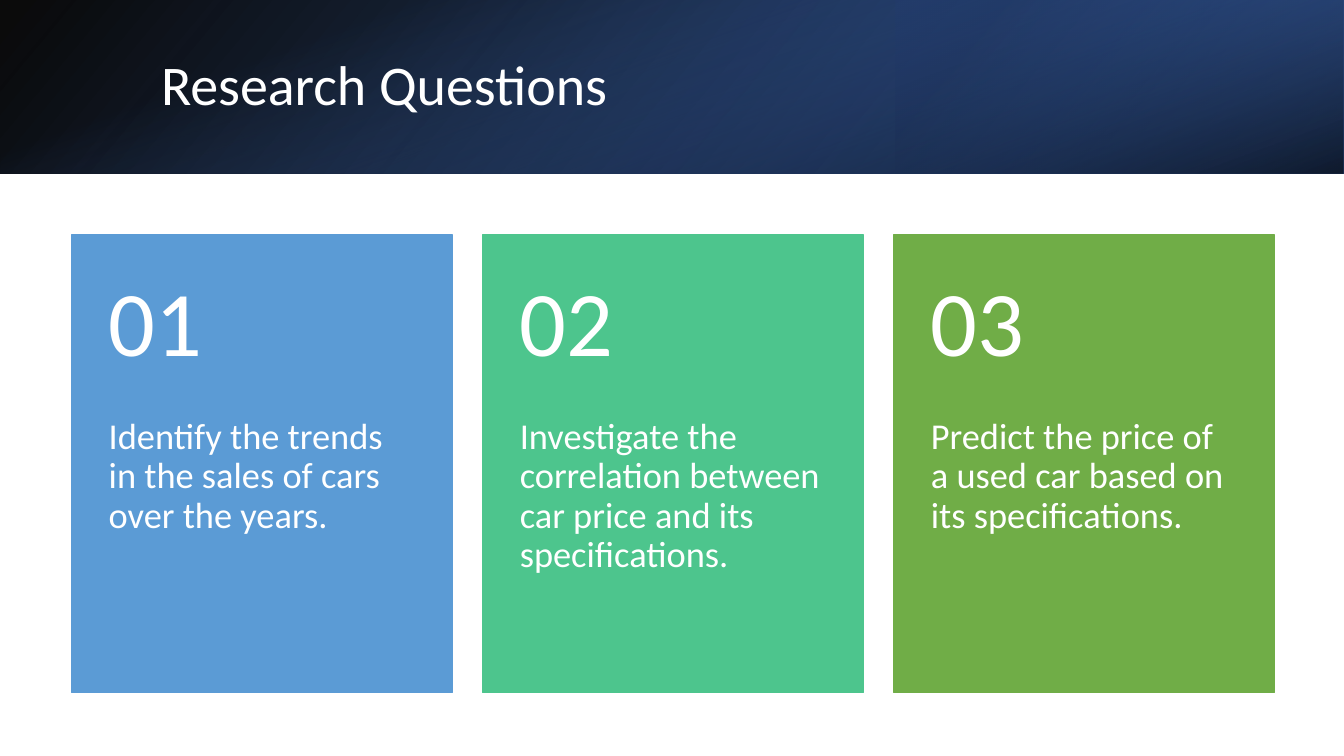
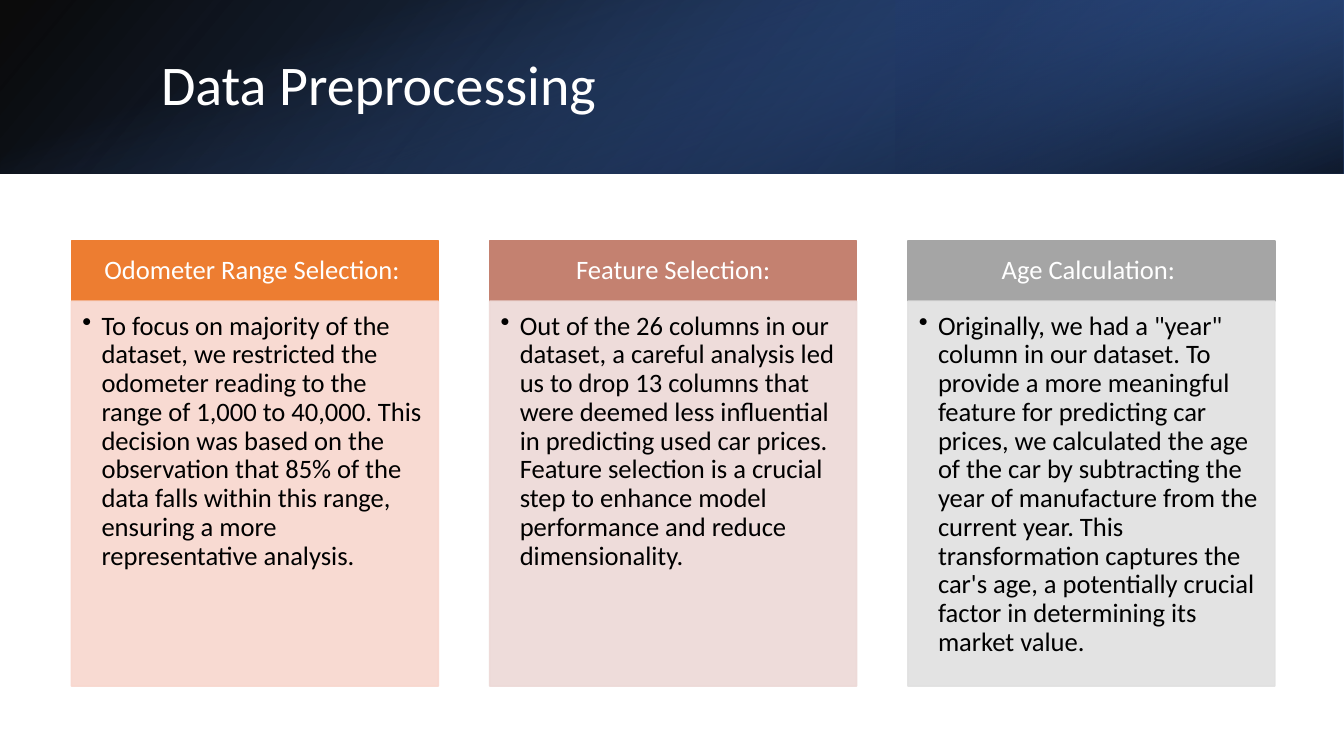
import lxml.etree
import pptx
import pptx.dml.color
import pptx.enum.shapes
import pptx.enum.text
import pptx.oxml.ns
import pptx.util

Cm = pptx.util.Cm
Pt = pptx.util.Pt
RGBColor = pptx.dml.color.RGBColor
Anchor = pptx.enum.text.MSO_ANCHOR
Align = pptx.enum.text.PP_ALIGN
qn = pptx.oxml.ns.qn

FONT = "Calibri"
WHITE = RGBColor(0xFF, 0xFF, 0xFF)
BLACK = RGBColor(0x00, 0x00, 0x00)
NAVY = RGBColor(0x20, 0x38, 0x64)
DEEP_BLUE = RGBColor(0x2F, 0x55, 0x97)
BLUE = RGBColor(0x44, 0x72, 0xC4)
SKY = RGBColor(0x5B, 0x9B, 0xD5)
MINT = RGBColor(0x4D, 0xC5, 0x8D)
GREEN = RGBColor(0x70, 0xAD, 0x47)
ORANGE = RGBColor(0xED, 0x7D, 0x31)
PALE_ORANGE = RGBColor(0xF8, 0xD7, 0xCE)
CLAY = RGBColor(0xC4, 0x81, 0x70)
PALE_CLAY = RGBColor(0xED, 0xD9, 0xD7)
GRAY = RGBColor(0xA5, 0xA5, 0xA5)
PALE_GRAY = RGBColor(0xE1, 0xE1, 0xE1)

SLIDE_WIDTH, SLIDE_HEIGHT = 33.87, 19.05
BAND_HEIGHT = 4.37
MARGIN = 1.8

QUESTIONS = [
    (SKY, "Identify the trends in the sales of cars over the years."),
    (MINT, "Investigate the correlation between car price and its specifications."),
    (GREEN, "Predict the price of a used car based on its specifications."),
]
STEPS = [
    (ORANGE, PALE_ORANGE, "Odometer Range Selection: ",
     "To focus on majority of the dataset, we restricted the odometer reading to the "
     "range of 1,000 to 40,000. This decision was based on the observation that 85% of "
     "the data falls within this range, ensuring a more representative analysis."),
    (CLAY, PALE_CLAY, "Feature Selection:",
     "Out of the 26 columns in our dataset, a careful analysis led us to drop 13 columns "
     "that were deemed less influential in predicting used car prices. Feature selection "
     "is a crucial step to enhance model performance and reduce dimensionality."),
    (GRAY, PALE_GRAY, "Age Calculation: ",
     "Originally, we had a \"year\" column in our dataset. To provide a more meaningful "
     "feature for predicting car prices, we calculated the age of the car by subtracting "
     "the year of manufacture from the current year. This transformation captures the "
     "car's age, a potentially crucial factor in determining its market value."),
]


def set_opacities(shape, percents):
    """Give the shape's colours, in document order, these opacities."""
    colors = list(shape.element.spPr.iter(qn("a:srgbClr")))
    for color, percent in zip(colors, percents):
        lxml.etree.SubElement(color, qn("a:alpha"), val=str(percent * 1000))


def add_rectangle(slide, left, top, width, height):
    shape = slide.shapes.add_shape(
        pptx.enum.shapes.MSO_SHAPE.RECTANGLE, Cm(left), Cm(top), Cm(width), Cm(height))
    shape.shadow.inherit = False
    return shape


def add_panel(slide, box, color, opacity=100):
    panel = add_rectangle(slide, *box)
    panel.fill.solid()
    panel.fill.fore_color.rgb = color
    panel.line.color.rgb = color
    panel.line.width = Pt(1)
    if opacity < 100:
        set_opacities(panel, (opacity, opacity))
    return panel


def add_gradient(slide, box, stops, angle, rotation=0, flipped=False):
    """Stops are (position, colour, opacity percent); the angle runs clockwise."""
    shape = add_rectangle(slide, *box)
    shape.line.fill.background()
    shape.fill.gradient()
    shape.fill.gradient_angle = 360 - angle
    for stop, (position, color, _) in zip(shape.fill.gradient_stops, stops):
        stop.position = position
        stop.color.rgb = color
    set_opacities(shape, [opacity for _, _, opacity in stops])
    shape.rotation = rotation
    if flipped:
        shape.element.spPr.xfrm.set("flipH", "1")


def write_text(shape, text, size, color=WHITE, insets=(0.25, 0.13, 0.25, 0.13),
               anchor=Anchor.MIDDLE, align=Align.LEFT, bullet_indent=0):
    """Fill the shape with one paragraph; insets are left, top, right, bottom."""
    frame = shape.text_frame
    frame.word_wrap = True
    frame.vertical_anchor = anchor
    (frame.margin_left, frame.margin_top,
     frame.margin_right, frame.margin_bottom) = map(Cm, insets)
    paragraph = frame.paragraphs[0]
    paragraph.alignment = align
    paragraph.line_spacing = 0.9
    if bullet_indent:
        properties = paragraph._p.get_or_add_pPr()
        properties.set("marL", str(Cm(bullet_indent)))
        properties.set("indent", str(-Cm(bullet_indent)))
        lxml.etree.SubElement(properties, qn("a:buChar"), char="•")
    run = paragraph.add_run()
    run.text = text
    run.font.name = FONT
    run.font.size = Pt(size)
    run.font.color.rgb = color


def add_text(slide, box, text, size, **style):
    write_text(slide.shapes.add_textbox(*map(Cm, box)), text, size, **style)


def add_titled_slide(presentation, title):
    slide = presentation.slides.add_slide(presentation.slide_layouts[6])
    add_gradient(slide, (0, 0, SLIDE_WIDTH, BAND_HEIGHT),
                 [(0, BLACK, 96), (1, DEEP_BLUE, 100)], 140, flipped=True)
    add_gradient(slide, (SLIDE_WIDTH * 2 / 3, 0, SLIDE_WIDTH / 3, BAND_HEIGHT),
                 [(0.19, NAVY, 68), (1, BLUE, 79)], 320, rotation=180, flipped=True)
    # A quarter turn about its centre lays this upright strip over the band
    offset = (SLIDE_WIDTH - BAND_HEIGHT) / 2
    add_gradient(slide, (offset, -offset, BAND_HEIGHT, SLIDE_WIDTH),
                 [(0.23, BLUE, 0), (0.99, BLACK, 74)], 340, rotation=90)
    add_text(slide, (3.81, 0.97, 27.85, 2.44), title, 40)
    return slide


def add_question_cards(slide):
    top, width, height, pitch = 5.92, 9.6, 11.53, 10.36
    number_height = 4.62
    for index, (color, question) in enumerate(QUESTIONS):
        left = MARGIN + index * pitch
        add_panel(slide, (left, top, width, height), color)
        add_text(slide, (left, top + number_height, width, height - number_height),
                 question, 26, insets=(0.94, 0, 0.94, 0.91), anchor=Anchor.TOP)
        add_text(slide, (left, top, width, number_height), f"{index + 1:02}", 66,
                 insets=(0.94, 0.46, 0.94, 0.46))


def add_step_columns(slide):
    top, width, pitch = 6.07, 9.25, 10.54
    header_height, body_height = 1.52, 9.7
    for index, (color, pale_color, heading, body) in enumerate(STEPS):
        left = MARGIN + index * pitch
        header = add_panel(slide, (left, top, width, header_height), color)
        write_text(header, heading, 19, insets=(0.38, 0.2, 0.38, 0.2), align=Align.CENTER)
        panel = add_panel(slide, (left, top + header_height, width, body_height),
                          pale_color, opacity=90)
        write_text(panel, body, 19, color=BLACK, insets=(0.28, 0.28, 0.38, 0.43),
                   anchor=Anchor.TOP, bullet_indent=0.48)


def main():
    presentation = pptx.Presentation()
    presentation.slide_width = Cm(SLIDE_WIDTH)
    presentation.slide_height = Cm(SLIDE_HEIGHT)
    add_question_cards(add_titled_slide(presentation, "Research Questions"))
    add_step_columns(add_titled_slide(presentation, "Data Preprocessing"))
    presentation.save("out.pptx")


if __name__ == "__main__":
    main()
